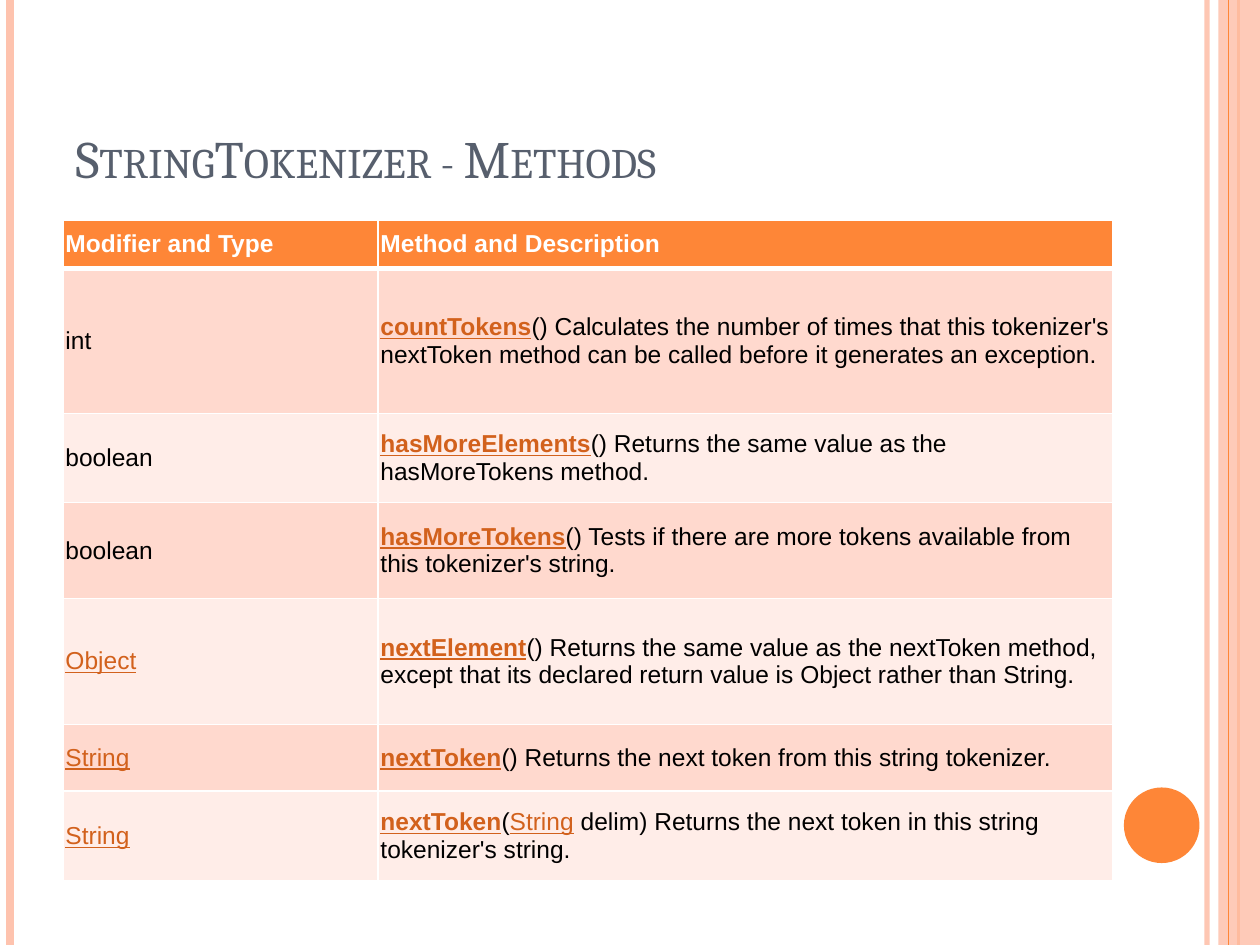
from dataclasses import dataclass

from lxml.etree import SubElement
from pptx import Presentation
from pptx.dml.color import RGBColor
from pptx.enum.shapes import MSO_CONNECTOR, MSO_SHAPE
from pptx.enum.text import MSO_ANCHOR, PP_ALIGN
from pptx.oxml import parse_xml
from pptx.oxml.ns import nsdecls, qn
from pptx.util import Inches, Pt

ORANGE, PEACH, WHITE, BLACK = "FE8637", "FEC3AE", "FFFFFF", "000000"
LINK, SLATE = "D2611C", "575F6D"
BANDS = ("FFD9CE", "FFEDE8")


@dataclass
class Rule:
    x: float
    color: str
    width: float
    opacity: int = 100


@dataclass
class Part:
    text: str
    color: str = BLACK
    bold: bool = False
    underline: bool = False


@dataclass
class Row:
    height: float
    kind: list[Part]
    method: list[Part]


def rgb(color: str) -> RGBColor:
    return RGBColor.from_string(color)


def link(text: str, bold: bool = False) -> Part:
    return Part(text, LINK, bold, True)


def set_opacity(fill, percent: int) -> None:
    clr = next(fill.iter(qn("a:srgbClr")))
    SubElement(clr, qn("a:alpha")).set("val", str(percent * 1000))


def draw_rule(slide, rule: Rule) -> None:
    x = Inches(rule.x)
    sp = slide.shapes.add_connector(MSO_CONNECTOR.STRAIGHT, x, 0, x, Inches(7.5))
    sp.line.color.rgb = rgb(rule.color)
    sp.line.width = Pt(rule.width)
    spPr = sp._element.spPr
    if rule.opacity < 100:
        set_opacity(spPr, rule.opacity)
    SubElement(spPr, qn("a:effectLst"))


def draw_shape(slide, kind, left: float, top: float, width: float, height: float,
               color: str, opacity: int = 100) -> None:
    sp = slide.shapes.add_shape(kind, Inches(left), Inches(top), Inches(width), Inches(height))
    sp.shadow.inherit = False
    sp.fill.solid()
    sp.fill.fore_color.rgb = rgb(color)
    sp.line.fill.background()
    if opacity < 100:
        set_opacity(sp._element.spPr, opacity)


def set_borders(cell, top: float, bottom: float) -> None:
    tcPr = cell._tc.get_or_add_tcPr()
    sides = (("lnL", 1), ("lnR", 1), ("lnT", top), ("lnB", bottom))
    for i, (tag, width) in enumerate(sides):
        tcPr.insert(i, parse_xml(
            f'<a:{tag} {nsdecls("a")} w="{Pt(width)}"><a:solidFill>'
            f'<a:srgbClr val="{WHITE}"/></a:solidFill></a:{tag}>'))


def fill_cell(cell, parts: list[Part], color: str, top: float, bottom: float) -> None:
    cell.fill.solid()
    cell.fill.fore_color.rgb = rgb(color)
    cell.vertical_anchor = MSO_ANCHOR.MIDDLE
    cell.margin_left = cell.margin_right = Inches(0.02)
    cell.margin_top = cell.margin_bottom = Inches(0.02)
    set_borders(cell, top, bottom)
    p = cell.text_frame.paragraphs[0]
    p.font.name = "Arial"
    p.font.size = Pt(14)
    for part in parts:
        r = p.add_run()
        r.text = part.text
        r.font.color.rgb = rgb(part.color)
        r.font.bold = part.bold
        r.font.underline = part.underline


def draw_table(slide, rows: list[Row]) -> None:
    table = slide.shapes.add_table(len(rows), 2, Inches(0.5), Inches(1.75),
                                   Inches(8.33), Inches(5.25)).table
    table.first_row = table.horz_banding = False
    for column, width in zip(table.columns, (2.5, 5.83)):
        column.width = Inches(width)
    for i, row in enumerate(rows):
        table.rows[i].height = Inches(row.height)
        color = BANDS[(i - 1) % 2] if i else ORANGE
        for j, parts in enumerate((row.kind, row.method)):
            fill_cell(table.cell(i, j), parts, color, 3 if i == 1 else 1, 1 if i else 3)


def draw_title(slide, text: str) -> None:
    sp = slide.shapes.title
    sp.left, sp.top, sp.width, sp.height = Inches(0.5), Inches(0.3), Inches(8.17), Inches(1.25)
    tf = sp.text_frame
    tf.vertical_anchor = MSO_ANCHOR.BOTTOM
    p = tf.paragraphs[0]
    p.alignment = PP_ALIGN.LEFT
    p.font.name = "Cambria"
    p.font.size = Pt(30)
    p.font.color.rgb = rgb(SLATE)
    r = p.add_run()
    r.text = text
    r._r.get_or_add_rPr().set("cap", "small")


RULES = [Rule(9.58, PEACH, 3, 93), Rule(0.08, PEACH, 4.5), Rule(9.83, ORANGE, 1.5)]
ROWS = [
    Row(0.38, [Part("Modifier and Type", WHITE, True)],
        [Part("Method and Description", WHITE, True)]),
    Row(1.15, [Part("int")],
        [link("countTokens", True),
         Part("() Calculates the number of times that this tokenizer's nextToken method "
              "can be called before it generates an exception.")]),
    Row(0.71, [Part("boolean")],
        [link("hasMoreElements", True),
         Part("() Returns the same value as the hasMoreTokens method.")]),
    Row(0.76, [Part("boolean")],
        [link("hasMoreTokens", True),
         Part("() Tests if there are more tokens available from this tokenizer's string.")]),
    Row(1, [link("Object")],
        [link("nextElement", True),
         Part("() Returns the same value as the nextToken method, except that its "
              "declared return value is Object rather than String.")]),
    Row(0.53, [link("String")],
        [link("nextToken", True),
         Part("() Returns the next token from this string tokenizer.")]),
    Row(0.71, [link("String")],
        [link("nextToken", True), Part("("), link("String"),
         Part(" delim) Returns the next token in this string tokenizer's string.")]),
]


def main() -> None:
    prs = Presentation()
    prs.slide_width, prs.slide_height = Inches(10), Inches(7.5)
    slide = prs.slides.add_slide(prs.slide_layouts[5])
    for rule in RULES:
        draw_rule(slide, rule)
    draw_shape(slide, MSO_SHAPE.RECTANGLE, 9.67, 0, 0.33, 7.5, PEACH, 87)
    draw_rule(slide, Rule(9.75, ORANGE, 0.75))
    draw_shape(slide, MSO_SHAPE.OVAL, 8.92, 6.25, 0.6, 0.6, ORANGE)
    draw_title(slide, "StringTokenizer - Methods")
    draw_table(slide, ROWS)
    prs.save("out.pptx")


if __name__ == "__main__":
    main()
